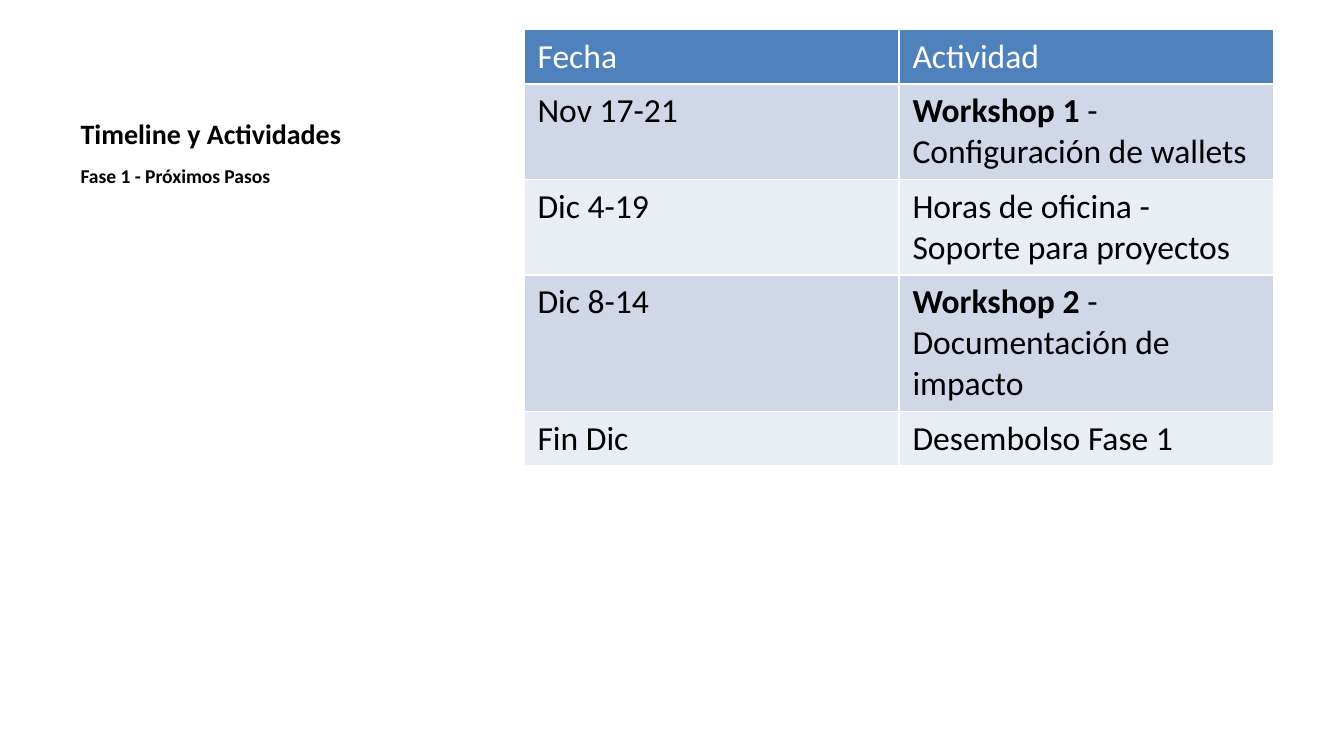
from dataclasses import dataclass

from pptx import Presentation
from pptx.dml.color import RGBColor
from pptx.enum.text import MSO_ANCHOR
from pptx.util import Inches, Pt


@dataclass(frozen=True)
class Theme:
    face: str = "Calibri"
    ink: str = "000000"
    pale: str = "FFFFFF"
    head: str = "4F81BD"
    bands: tuple = ("D0D8E8", "E9EDF4")
    title: float = 15
    note: float = 10.5
    cell: float = 18


THEME = Theme()
WIDTH = Inches(10)
ROWS = [
    ("Fecha", ("", "Actividad"), 1),
    ("Nov 17-21", ("Workshop 1", " - Configuración de wallets"), 2),
    ("Dic 4-19", ("", "Horas de oficina - Soporte para proyectos"), 2),
    ("Dic 8-14", ("Workshop 2", " - Documentación de impacto"), 3),
    ("Fin Dic", ("", "Desembolso Fase 1"), 1),
]


def apply(item, style):
    for key, value in style.items():
        setattr(item, key, value)


def place(shape, box):
    names = ("left", "top", "width", "height")
    apply(shape, dict(zip(names, map(Inches, box))))


def write(para, text, size, color, bold=False):
    run = para.add_run()
    run.text = text
    apply(run.font, {"name": THEME.face, "size": Pt(size), "bold": bold})
    run.font.color.rgb = RGBColor.from_string(color)


def add_intro(slide, box):
    left, top, width, height = box
    split = 0.95
    title, note = slide.shapes.title, slide.placeholders[2]
    place(title, (left, top, width, split))
    place(note, (left, top + split, width, height - split))
    title.text_frame.vertical_anchor = MSO_ANCHOR.BOTTOM
    note.text_frame.vertical_anchor = MSO_ANCHOR.TOP
    parts = [
        (title, "Timeline y Actividades", THEME.title),
        (note, "Fase 1 - Próximos Pasos", THEME.note),
    ]
    for shape, text, size in parts:
        para = shape.text_frame.paragraphs[0]
        para.space_before = Pt(0)
        write(para, text, size, THEME.ink, True)


def add_dates(slide, box):
    left, top, width, line, pad = box
    lines = sum(row[2] for row in ROWS)
    height = lines * line + len(ROWS) * pad
    frame = slide.shapes.add_table(
        len(ROWS), 2, *map(Inches, (left, top, width, height))
    )
    table = frame.table
    for index, (date, (lead, rest), count) in enumerate(ROWS):
        table.rows[index].height = Inches(count * line + pad)
        fill = THEME.bands[(index - 1) % 2] if index else THEME.head
        color = THEME.ink if index else THEME.pale
        sides = [[(date, False)], [(lead, True), (rest, False)]]
        for col, runs in enumerate(sides):
            cell = table.cell(index, col)
            cell.fill.solid()
            cell.fill.fore_color.rgb = RGBColor.from_string(fill)
            para = cell.text_frame.paragraphs[0]
            for text, bold in runs:
                if text:
                    write(para, text, THEME.cell, color, bold)


def main():
    deck = Presentation()
    apply(deck, {"slide_width": WIDTH, "slide_height": WIDTH * 9 // 16})
    slide = deck.slides.add_slide(deck.slide_layouts[7])
    spare = slide.placeholders[1].element
    spare.getparent().remove(spare)
    add_intro(slide, (0.5, 0.22, 3.29, 4.81))
    add_dates(slide, (3.9, 0.22, 5.58, 0.3, 0.1))
    deck.save("out.pptx")


if __name__ == "__main__":
    main()
